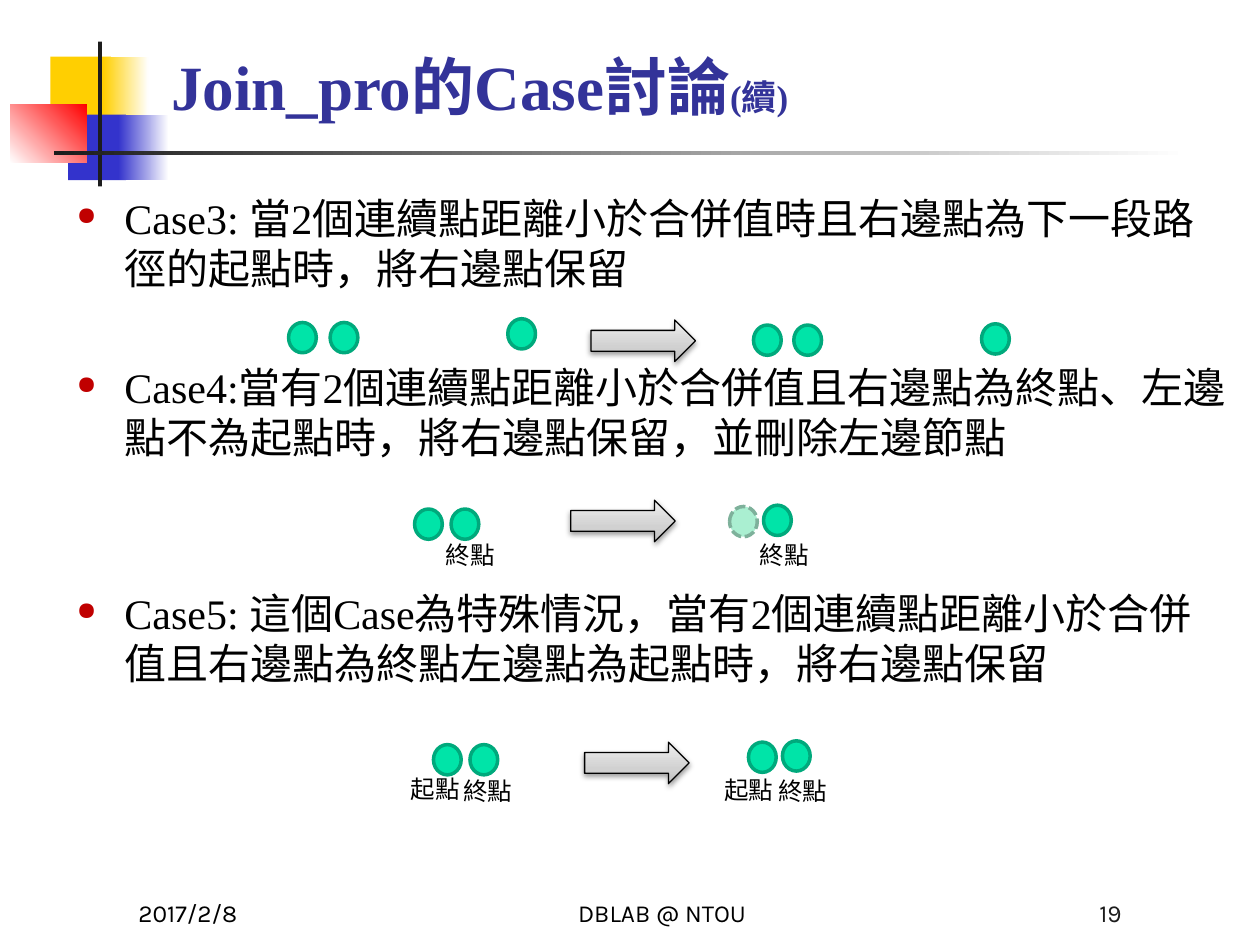
from lxml import etree
from pptx import Presentation
from pptx.dml.color import RGBColor
from pptx.enum.dml import MSO_LINE
from pptx.enum.shapes import MSO_SHAPE
from pptx.enum.text import MSO_ANCHOR, PP_ALIGN
from pptx.oxml import parse_xml
from pptx.oxml.ns import nsdecls, qn
from pptx.util import Inches, Pt


def rgb(value):
    return RGBColor.from_string(value)


def add_filled(preset, box, stops, angle=0, outline=None, weight=2):
    shape = slide.shapes.add_shape(preset, *map(Inches, box))
    shape.shadow.inherit = False
    if len(stops) == 1:
        shape.fill.solid()
        shape.fill.fore_color.rgb = rgb(stops[0][1])
    else:
        shape.fill.gradient()
        shape.fill.gradient_angle = angle
        stop_list = shape._element.spPr.find(".//" + qn("a:gsLst"))
        for old_stop in list(stop_list):
            stop_list.remove(old_stop)
        for position, color in stops:
            stop = etree.SubElement(stop_list, qn("a:gs"), pos=str(position * 1000))
            etree.SubElement(stop, qn("a:srgbClr"), val=color)
    if outline:
        shape.line.color.rgb = rgb(outline)
        shape.line.width = Pt(weight)
    else:
        shape.line.fill.background()
    return shape


prs = Presentation()
prs.slide_width = Inches(10)
prs.slide_height = Inches(7.5)
slide = prs.slides.add_slide(prs.slide_layouts[6])

decorations = [
    ((0.4, 0.45, 0.48, 0.52), [(0, "FFCF01")], 0),
    ((0.82, 0.45, 0.36, 0.52), [(0, "FFCF01"), (100, "FFFFFF")], 0),
    ((0.54, 0.91, 0.46, 0.52), [(0, "3333CC")], 0),
    ((0.94, 0.91, 0.4, 0.52), [(0, "3333CC"), (100, "FFFFFF")], 0),
    ((0.08, 0.83, 0.61, 0.46), [(0, "FFFFFF"), (100, "FF0000")], 45),
    ((0.78, 0.33, 0.03, 1.15), [(0, "1C1C1C")], 0),
    ((0.43, 1.2, 9, 0.03), [(0, "1C1C1C"), (100, "FFFFFF")], 0),
]
for box, stops, angle in decorations:
    add_filled(MSO_SHAPE.RECTANGLE, box, stops, angle)

title = slide.shapes.add_textbox(Inches(1.26), Inches(0.17), Inches(8.52), Inches(0.86))
title.text_frame.word_wrap = True
title.text_frame.vertical_anchor = MSO_ANCHOR.BOTTOM
for wording, size in [("Join_pro的Case討論", 36), ("(續)", 20)]:
    run = title.text_frame.paragraphs[0].add_run()
    run.text = wording
    run.font.name = "Times New Roman"
    run.font.size = Pt(size)
    run.font.bold = True
    run.font.color.rgb = rgb("333399")

cases = [
    ("Case3: 當2個連續點距離小於合併值時且右邊點為下一段路徑的起點時，將右邊點保留", 0),
    ("Case4:當有2個連續點距離小於合併值且右邊點為終點、左邊點不為起點時，將右邊點保留，並刪除左邊節點", 39),
    ("Case5: 這個Case為特殊情況，當有2個連續點距離小於合併值且右邊點為終點左邊點為起點時，將右邊點保留", 72),
]
body = slide.shapes.add_textbox(Inches(0.51), Inches(1.48), Inches(9.37), Inches(5.42))
body.text_frame.word_wrap = True
for index, (wording, gap) in enumerate(cases):
    paragraph = body.text_frame.paragraphs[0] if index == 0 else body.text_frame.add_paragraph()
    paragraph.text = wording
    paragraph.line_spacing = Pt(28.7)
    paragraph.space_before = Pt(gap)
    properties = paragraph._p.get_or_add_pPr()
    properties.set("marL", str(Inches(0.38)))
    properties.set("indent", str(-Inches(0.38)))
    bullet_color = etree.SubElement(properties, qn("a:buClr"))
    etree.SubElement(bullet_color, qn("a:srgbClr"), val="C00000")
    etree.SubElement(properties, qn("a:buSzPct"), val="60000")
    etree.SubElement(properties, qn("a:buChar"), char="●")
    font = paragraph.runs[0].font
    font.name = "Times New Roman"
    font.size = Pt(24)
    font.color.rgb = rgb("000000")

footers = [
    ("2017/2/8", 1, 2.08, PP_ALIGN.LEFT, "000000"),
    ("DBLAB @ NTOU", 3.67, 3.17, PP_ALIGN.CENTER, "000000"),
    ("19", 6.92, 2.08, PP_ALIGN.RIGHT, "1C1C1C"),
]
for wording, left, width, alignment, color in footers:
    footer = slide.shapes.add_textbox(Inches(left), Inches(6.91), Inches(width), Inches(0.5))
    footer.text_frame.word_wrap = True
    footer.text_frame.vertical_anchor = MSO_ANCHOR.BOTTOM
    paragraph = footer.text_frame.paragraphs[0]
    paragraph.text = wording
    paragraph.alignment = alignment
    font = paragraph.runs[0].font
    font.name = "Karla"
    font.size = Pt(14)
    font.color.rgb = rgb(color)

points = [
    (4.03, 2.53), (2.29, 2.56), (2.62, 2.56), (5.98, 2.58), (6.3, 2.58), (7.79, 2.57),
    (3.29, 4.04), (3.58, 4.04), (6.06, 4.01),
    (3.44, 5.91), (3.73, 5.91), (5.94, 5.89), (6.21, 5.88),
]
removed_point = add_filled(
    MSO_SHAPE.OVAL, (5.79, 4.02, 0.22, 0.24), [(0, "AAEFD1")], outline="7EB19B")
removed_point.line.dash_style = MSO_LINE.SQUARE_DOT
for left, top in points:
    add_filled(MSO_SHAPE.OVAL, (left, top, 0.22, 0.24), [(0, "00E4A8")], outline="00A97C")

for left, top in [(4.69, 2.54), (4.53, 3.97), (4.64, 5.89)]:
    arrow = add_filled(
        MSO_SHAPE.RIGHT_ARROW, (left, top, 0.83, 0.33),
        [(0, "BDBDBD"), (35, "D1D1D1"), (100, "EEEEEE")], 90, "000000", 0.75)
    arrow._element.spPr.find(qn("a:effectLst")).append(parse_xml(
        f'<a:outerShdw {nsdecls("a")} blurRad="{Pt(3.1)}" dist="{Pt(1.6)}" dir="5400000" '
        'rotWithShape="0"><a:srgbClr val="000000"><a:alpha val="38000"/></a:srgbClr>'
        '</a:outerShdw>'))

point_labels = [
    ("終點", 3.44, 4.24), ("終點", 5.93, 4.24),
    ("起點", 3.16, 6.09), ("終點", 3.58, 6.11),
    ("起點", 5.65, 6.1), ("終點", 6.08, 6.11),
]
for wording, left, top in point_labels:
    label = slide.shapes.add_textbox(Inches(left), Inches(top), Inches(0.6), Inches(0.34))
    label.text_frame.text = wording
    font = label.text_frame.paragraphs[0].runs[0].font
    font.name = "Noto Sans CJK SC"
    font.size = Pt(14)
    font.color.rgb = rgb("000000")

prs.save("out.pptx")
